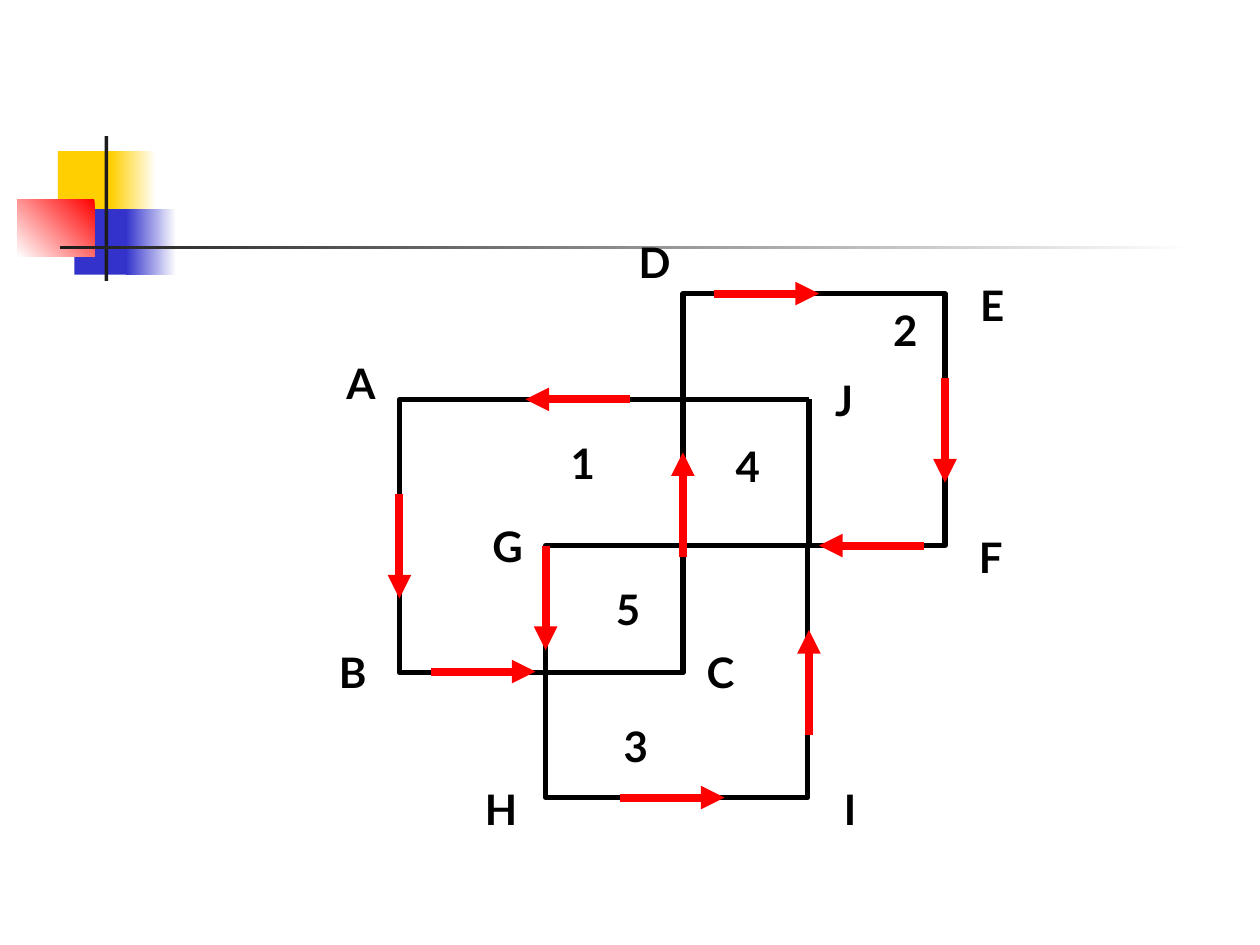
from lxml.etree import SubElement
from pptx import Presentation
from pptx.dml.color import RGBColor
from pptx.enum.shapes import MSO_CONNECTOR, MSO_SHAPE
from pptx.enum.text import MSO_AUTO_SIZE
from pptx.oxml.ns import qn
from pptx.util import Inches, Pt

COLORS = {
    "black": "000000", "white": "FFFFFF", "red": "FF0000",
    "yellow": "FFCF01", "blue": "3333CC", "dark": "1C1C1C",
}


def rgb(name):
    return RGBColor.from_string(COLORS[name])


def add_line(page, start, end, color, width, arrow=False):
    """Draw a straight line, with an arrowhead at its end if asked."""
    x1, y1, x2, y2 = (Inches(value) for value in (*start, *end))
    line = page.shapes.add_connector(MSO_CONNECTOR.STRAIGHT, x1, y1, x2, y2)
    line.line.color.rgb = rgb(color)
    line.line.width = Pt(width)
    if arrow:
        SubElement(line.line._get_or_add_ln(), qn("a:tailEnd"), type="triangle")
    SubElement(line._element.spPr, qn("a:effectLst"))


deck = Presentation()
deck.slide_width, deck.slide_height = Inches(10), Inches(7.5)
page = deck.slides.add_slide(deck.slide_layouts[6])

# Corner ornament: box, colours from start to end, counter-clockwise angle
ornament = [
    ((0.46, 1.2, 0.48, 0.52), ["yellow"], 0),
    ((0.88, 1.2, 0.36, 0.52), ["white", "yellow"], 180),
    ((0.59, 1.66, 0.46, 0.52), ["blue"], 0),
    ((1, 1.66, 0.4, 0.52), ["white", "blue"], 180),
    ((0.14, 1.58, 0.61, 0.46), ["red", "white"], 225),
    ((0.83, 1.08, 0.03, 1.15), ["dark"], 0),
    ((0.48, 1.95, 9, 0.03), ["white", "dark"], 180),
]
for bounds, shades, angle in ornament:
    block = page.shapes.add_shape(MSO_SHAPE.RECTANGLE, *map(Inches, bounds))
    block.shadow.inherit = False
    block.line.fill.background()
    if len(shades) == 1:
        block.fill.solid()
        block.fill.fore_color.rgb = rgb(shades[0])
    else:
        block.fill.gradient()
        block.fill.gradient_angle = angle
        for stop, shade in zip(block.fill.gradient_stops, shades):
            stop.color.rgb = rgb(shade)

# Overlapping faces
for bounds in [(3.17, 3.17, 2.25, 2.17), (4.33, 4.33, 2.08, 2), (5.42, 2.33, 2.08, 2)]:
    face = page.shapes.add_shape(MSO_SHAPE.RECTANGLE, *map(Inches, bounds))
    face.shadow.inherit = False
    face.fill.background()
    face.line.color.rgb = rgb("black")
    face.line.width = Pt(3)

corner_j = (6.42, 3.17)
add_line(page, (5.42, 3.17), corner_j, "black", 3)
add_line(page, corner_j, (6.42, 4.33), "black", 3)

# Direction arrows, all the same length
ARROW_LENGTH = 0.83
arrows = [
    (5, 3.17, -1, 0), (3.17, 3.92, 0, 1), (3.42, 5.33, 1, 0),
    (5.42, 4.42, 0, -1), (5.67, 2.33, 1, 0), (7.5, 3, 0, 1),
    (7.33, 4.33, -1, 0), (6.42, 5.83, 0, -1), (4.92, 6.33, 1, 0),
    (4.33, 4.33, 0, 1),
]
for x, y, across, down in arrows:
    end = (x + across * ARROW_LENGTH, y + down * ARROW_LENGTH)
    add_line(page, (x, y), end, "red", 4.5, arrow=True)

# Face numbers and corner letters: left, top, width
labels = {
    "1": (4.43, 3.42, 0.39), "2": (6.99, 2.37, 0.39), "3": (4.85, 5.67, 0.39),
    "4": (5.74, 3.45, 0.39), "5": (4.79, 4.58, 0.39),
    "A": (2.65, 2.79, 0.43), "B": (2.59, 5.08, 0.42), "C": (5.51, 5.08, 0.41),
    "D": (4.97, 1.83, 0.44), "E": (7.68, 2.17, 0.38), "F": (7.67, 4.17, 0.38),
    "G": (3.81, 4.08, 0.44), "H": (3.75, 6.17, 0.45), "I": (6.6, 6.17, 0.33),
    "J": (6.53, 2.92, 0.31),
}
for text, (left, top, width) in labels.items():
    box = page.shapes.add_textbox(Inches(left), Inches(top), Inches(width), Inches(0.5))
    box.text_frame.word_wrap = False
    box.text_frame.auto_size = MSO_AUTO_SIZE.SHAPE_TO_FIT_TEXT
    para = box.text_frame.paragraphs[0]
    para.text = text
    para.font.name = "Lato"
    para.font.size = Pt(24)
    para.font.bold = True
    para.font.color.rgb = rgb("black")

deck.save("out.pptx")
